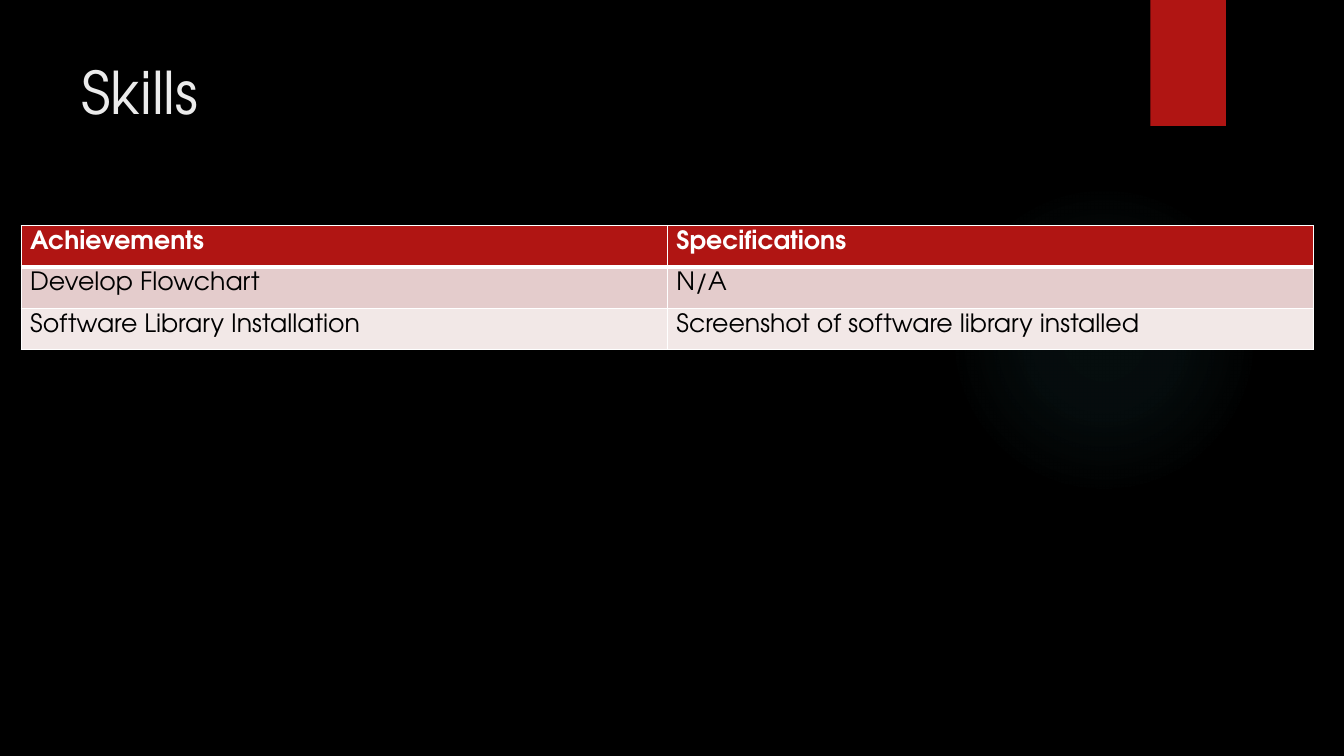
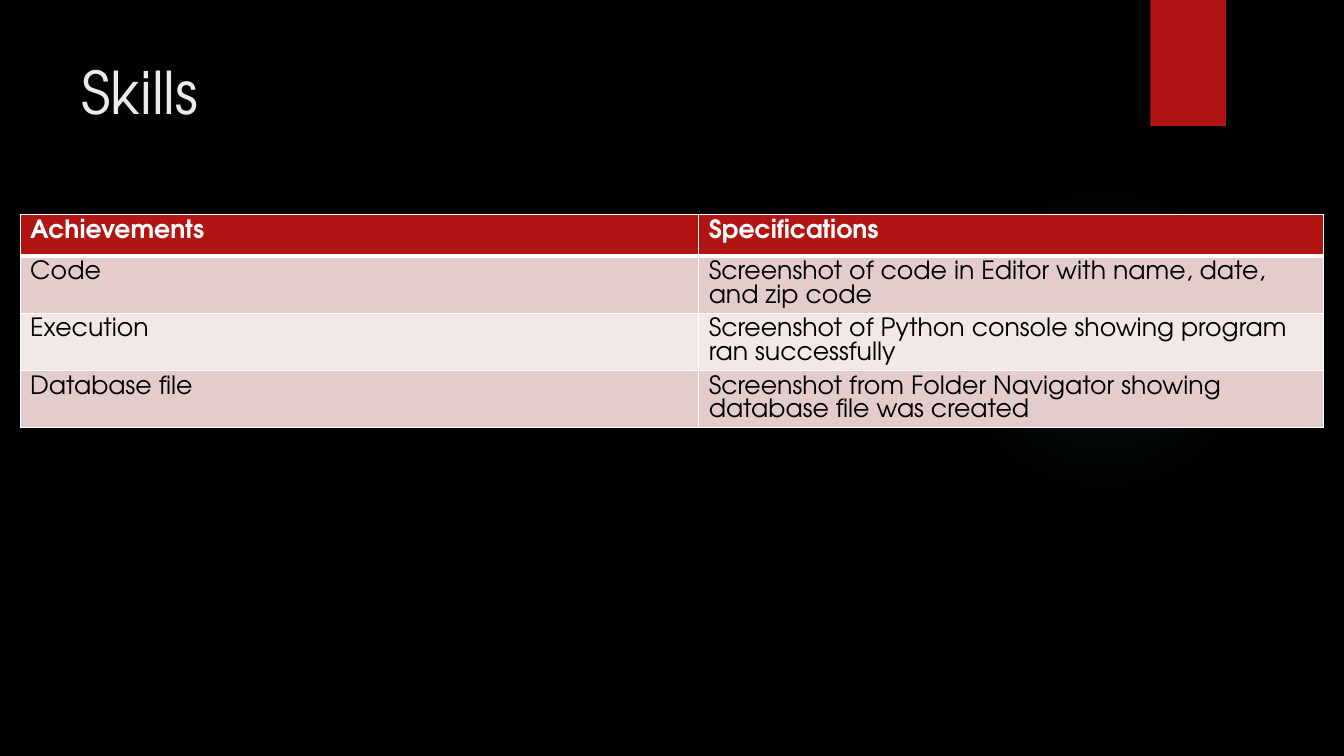
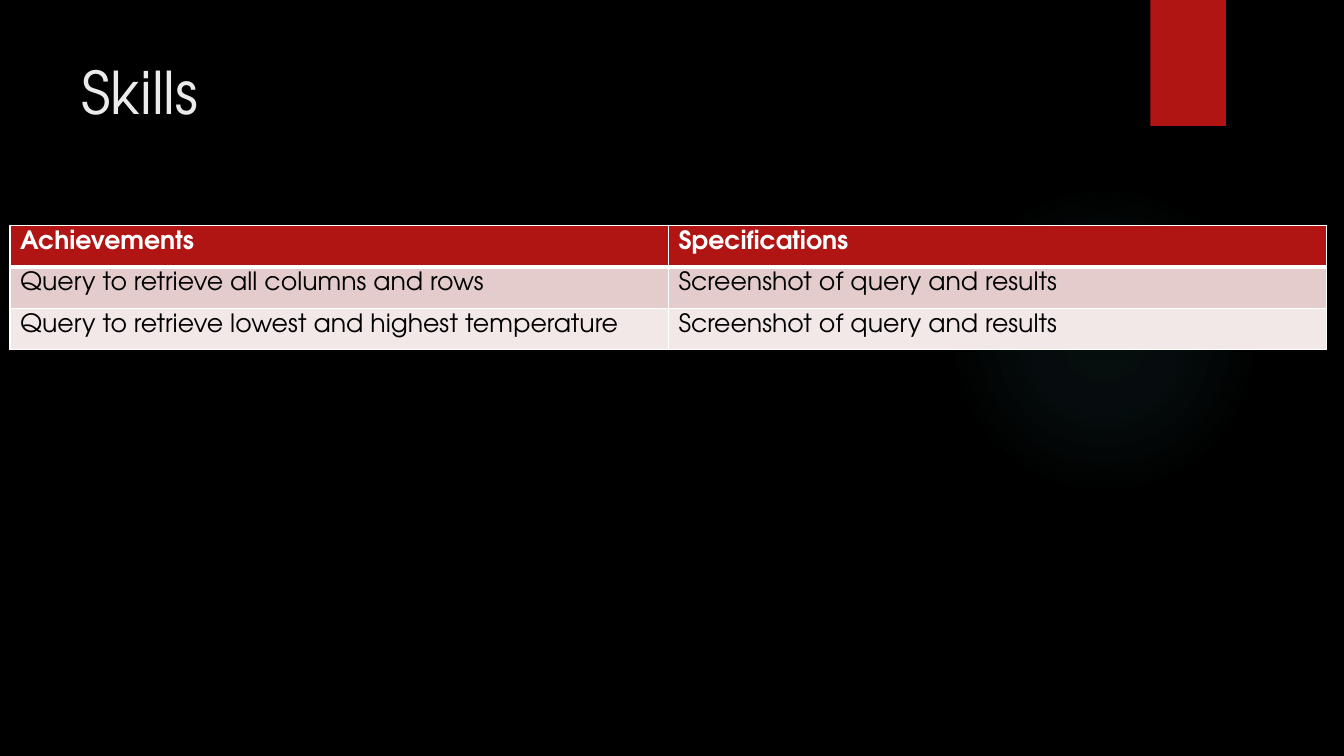
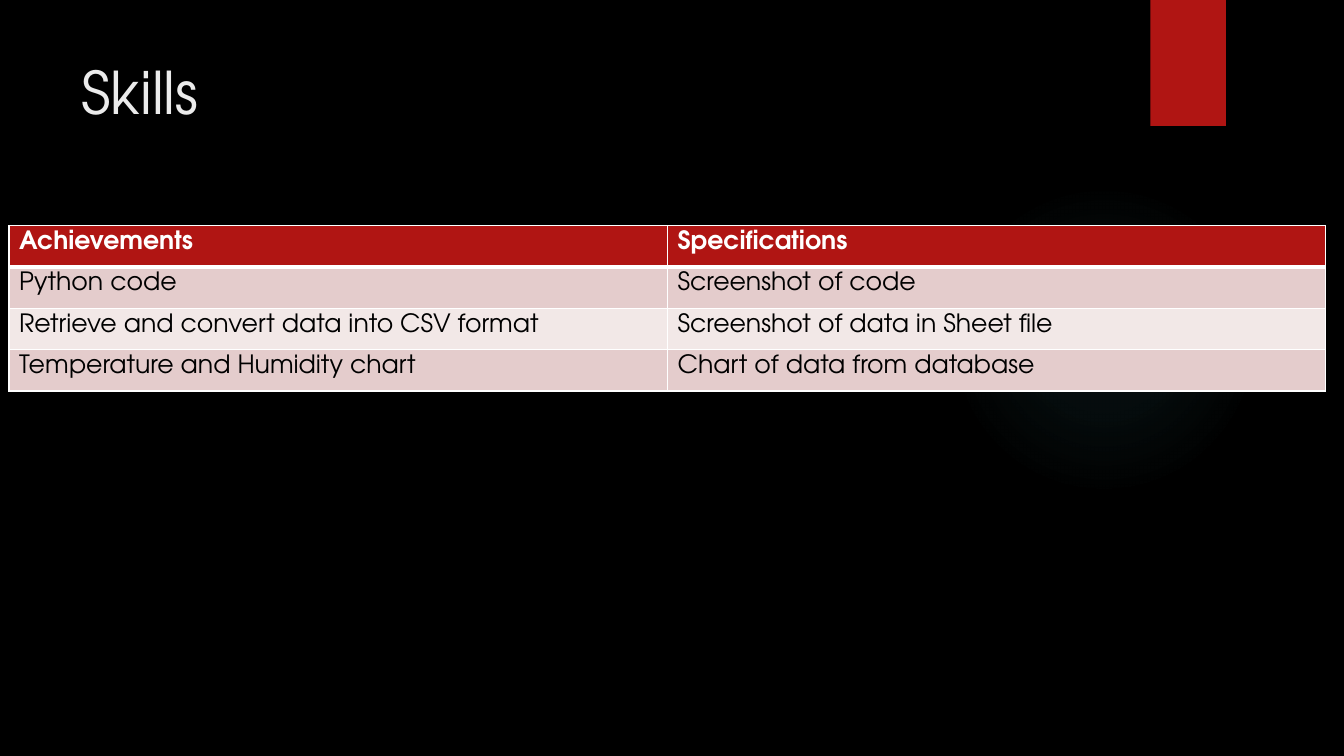
from lxml.etree import SubElement
from pptx import Presentation
from pptx.dml.color import RGBColor
from pptx.enum.shapes import MSO_SHAPE
from pptx.enum.text import MSO_ANCHOR, PP_ALIGN
from pptx.oxml import parse_xml
from pptx.oxml.ns import nsdecls, qn
from pptx.util import Inches, Pt

BLACK = RGBColor(0x00, 0x00, 0x00)
WHITE = RGBColor(0xFF, 0xFF, 0xFF)
TITLE_GREY = RGBColor(0xEB, 0xEB, 0xEB)
RED = RGBColor(0xB0, 0x15, 0x13)
DARK_BAND = RGBColor(0xE4, 0xCC, 0xCC)
LIGHT_BAND = RGBColor(0xF2, 0xE8, 0xE7)
GLOW = RGBColor(0x50, 0xB9, 0xC1)
FONT = "TeX Gyre Adventor"
ROW_HEIGHT = 0.41
TITLE_BOX = (0.71, 0.5, 10.29, 1.53)
GLOW_BOX = (9.41, 1.83, 3.08, 3.08)
RIBBON_BOX = (11.41, 0, 0.75, 1.25)
HEADER = ("Achievements", "Specifications")

SKILL_TABLES = [
    dict(left=0.21, top=2.24, widths=(6.41, 6.41), margin=0.09, rows=[
        ("Develop Flowchart", "N/A"),
        ("Software Library Installation", "Screenshot of software library installed"),
    ]),
    dict(left=0.2, top=2.13, widths=(6.73, 6.2), rows=[
        ("Code", "Screenshot of code in Editor with name, date, and zip code"),
        ("Execution", "Screenshot of Python console showing program ran successfully"),
        ("Database file", "Screenshot from Folder Navigator showing database file was created"),
    ]),
    dict(left=0.1, top=2.24, widths=(6.53, 6.53), rows=[
        ("Query to retrieve all columns and rows", "Screenshot of query and results"),
        ("Query to retrieve lowest and highest temperature", "Screenshot of query and results"),
    ]),
    dict(left=0.09, top=2.24, widths=(6.53, 6.53), rows=[
        ("Python code", "Screenshot of code"),
        ("Retrieve and convert data into CSV format", "Screenshot of data in Sheet file"),
        ("Temperature and Humidity chart", "Chart of data from database"),
    ]),
]


def write_text(text_frame, text, size=18, color=BLACK, bold=False):
    paragraph = text_frame.paragraphs[0]
    paragraph.alignment = PP_ALIGN.LEFT
    run = paragraph.add_run()
    run.text = text
    run.font.name = FONT
    run.font.size = Pt(size)
    run.font.bold = bold
    run.font.color.rgb = color


def place(shape, box):
    shape.left, shape.top, shape.width, shape.height = map(Inches, box)


def add_plain_shape(slide, kind, box, color):
    shape = slide.shapes.add_shape(kind, *map(Inches, box))
    shape.shadow.inherit = False
    shape.fill.solid()
    shape.fill.fore_color.rgb = color
    shape.line.fill.background()
    return shape


def fill_with_glow(shape, color):
    stops = "".join(
        f'<a:gs pos="{position * 1000}"><a:srgbClr val="{color}">'
        f'<a:alpha val="{alpha * 1000}"/></a:srgbClr></a:gs>'
        for position, alpha in ((0, 7), (36, 6), (69, 0))
    )
    gradient = parse_xml(
        f'<a:gradFill {nsdecls("a")} rotWithShape="1"><a:gsLst>{stops}</a:gsLst>'
        '<a:path path="circle"><a:fillToRect l="50000" t="50000" r="50000" b="50000"/>'
        '</a:path></a:gradFill>'
    )
    properties = shape.element.spPr
    properties.replace(properties.find(qn("a:solidFill")), gradient)


def style_layout(layout, slide):
    layout.background.fill.solid()
    layout.background.fill.fore_color.rgb = BLACK
    glow = add_plain_shape(slide, MSO_SHAPE.OVAL, GLOW_BOX, GLOW)
    fill_with_glow(glow, GLOW)
    ribbon = add_plain_shape(slide, MSO_SHAPE.RECTANGLE, RIBBON_BOX, RED)
    for shape in (glow, ribbon):
        layout.shapes.element.append(shape.element)


def add_title(slide, text, box):
    title = slide.shapes.title
    place(title, box)
    title.text_frame.word_wrap = True
    title.text_frame.vertical_anchor = MSO_ANCHOR.TOP
    write_text(title.text_frame, text, size=42, color=TITLE_GREY)


def set_borders(cell, **widths):
    properties = cell._tc.get_or_add_tcPr()
    for side in "LRTB":
        width = Pt(widths.get(side, 1))
        line = SubElement(properties, qn(f"a:ln{side}"), w=str(int(width)))
        fill = SubElement(line, qn("a:solidFill"))
        SubElement(fill, qn("a:srgbClr"), val=str(WHITE))


def format_cell(cell, text, row_index, margin):
    cell.margin_left = cell.margin_right = Inches(margin)
    cell.margin_top = cell.margin_bottom = Inches(0.05)
    is_header = row_index == 0
    if is_header:
        set_borders(cell, B=3)
    else:
        set_borders(cell, T=3 if row_index == 1 else 1)
    cell.fill.solid()
    band = DARK_BAND if row_index % 2 else LIGHT_BAND
    cell.fill.fore_color.rgb = RED if is_header else band
    write_text(cell.text_frame, text, color=WHITE if is_header else BLACK, bold=is_header)


def add_skill_table(slide, left, top, widths, rows, margin=0.1):
    lines = [HEADER, *rows]
    frame = slide.shapes.add_table(
        len(lines), len(widths), Inches(left), Inches(top),
        Inches(sum(widths)), Inches(ROW_HEIGHT * len(lines)),
    )
    table = frame.table
    for column, width in zip(table.columns, widths):
        column.width = Inches(width)
    for row_index, texts in enumerate(lines):
        table.rows[row_index].height = Inches(ROW_HEIGHT)
        for column_index, text in enumerate(texts):
            format_cell(table.cell(row_index, column_index), text, row_index, margin)


def main():
    presentation = Presentation()
    presentation.slide_width = Inches(13.33)
    presentation.slide_height = Inches(7.5)
    layout = presentation.slide_layouts[5]
    for index, skill_table in enumerate(SKILL_TABLES):
        slide = presentation.slides.add_slide(layout)
        if index == 0:
            style_layout(layout, slide)
        add_title(slide, "Skills", TITLE_BOX)
        add_skill_table(slide, **skill_table)
    presentation.save("out.pptx")


if __name__ == "__main__":
    main()
